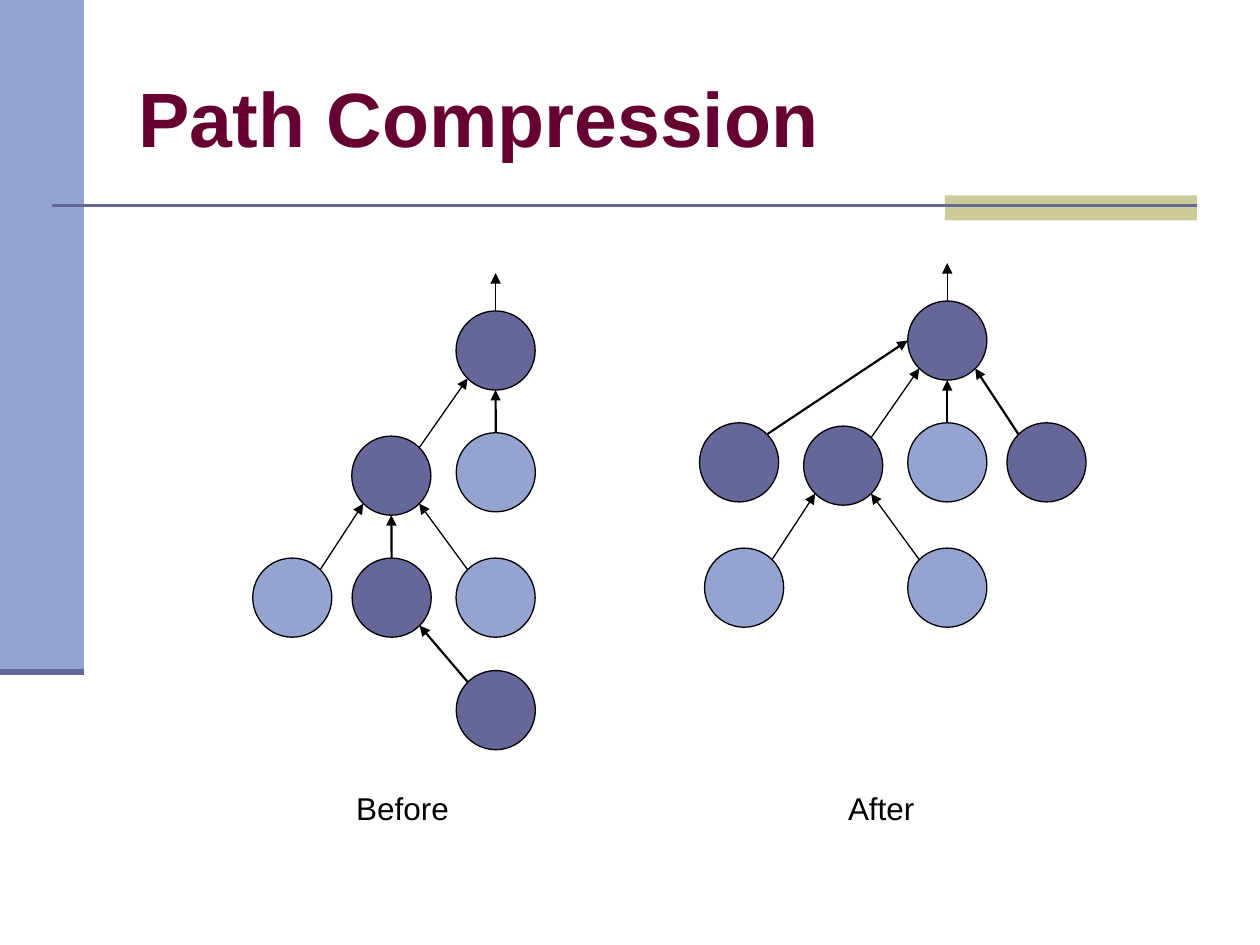
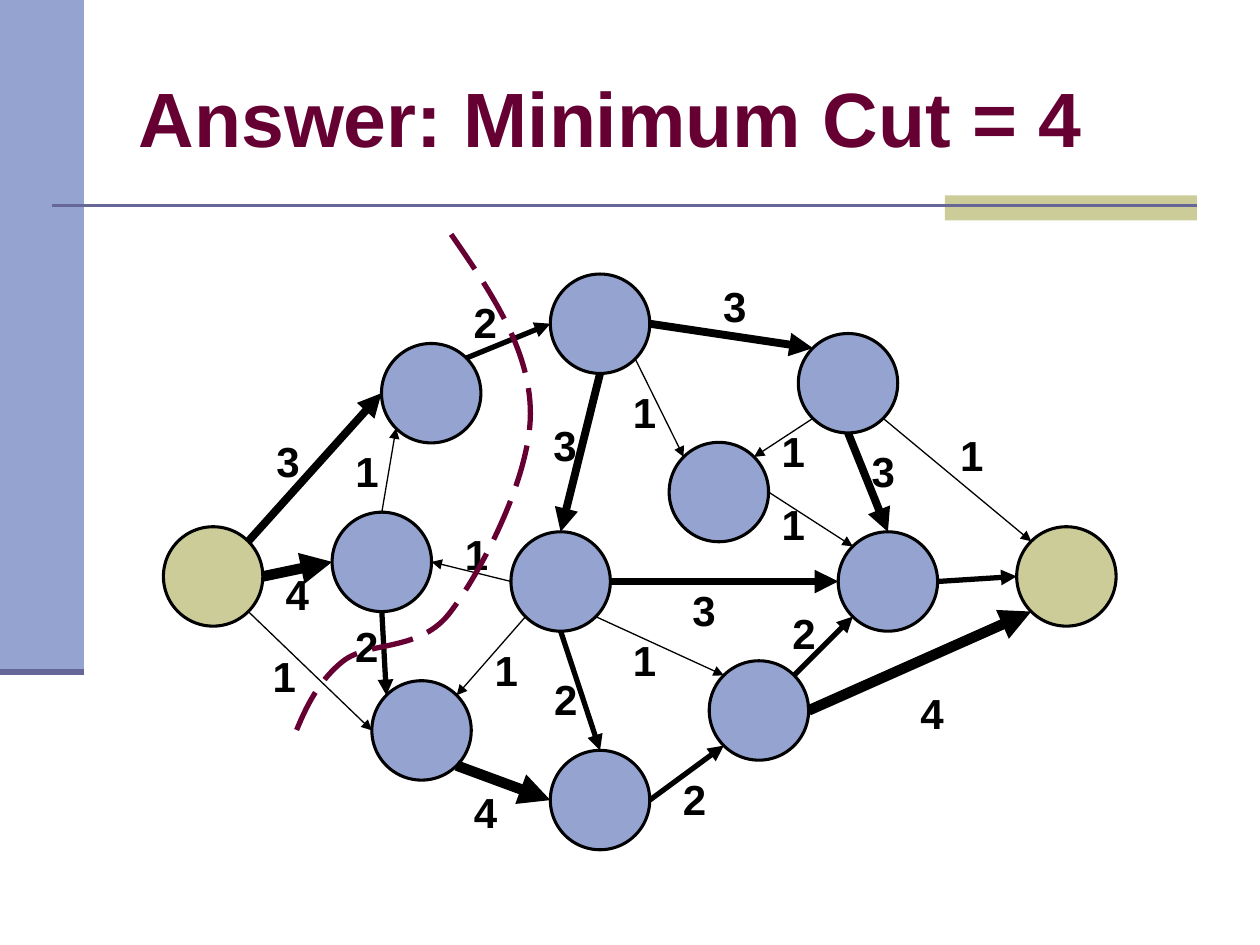
from lxml import etree
from pptx import Presentation
from pptx.dml.color import RGBColor
from pptx.enum.dml import MSO_LINE_DASH_STYLE as DASH
from pptx.enum.shapes import MSO_CONNECTOR as CONN, MSO_SHAPE as SHAPE
from pptx.enum.text import MSO_ANCHOR as ANCHOR, MSO_AUTO_SIZE as AUTO, PP_ALIGN as ALIGN
from pptx.oxml.ns import qn
from pptx.util import Pt

FONT = "Arial"
COLORS = {"light": "95A3D1", "dark": "666699", "sand": "CCCC99",
          "wine": "660033", "black": "000000"}

# Path compression: nodes are (centre x, centre y, colour),
# edges are (child, side, parent, side, line width).
TREE_RADIUS = 22.6
ROOT_ARROW = 21.6
THIN, THICK = 0.75, 1.25
TREES = [
    {"caption": "Before", "caption_at": (230, 462), "caption_width": 69,
     "nodes": {"root": (283.2, 200.3, "dark"), "parent": (223.6, 271.8, "dark"),
               "uncle": (283.3, 269.9, "light"), "left": (167, 341.5, "light"),
               "middle": (223.8, 341.5, "dark"), "right": (283.2, 341.5, "light"),
               "deep": (283.3, 405.8, "dark")},
     "edges": [("left", "NE", "parent", "SW", THIN), ("parent", "NE", "root", "SW", THIN),
               ("right", "NW", "parent", "SE", THIN), ("uncle", "N", "root", "S", THICK),
               ("middle", "N", "parent", "S", THICK), ("deep", "NW", "middle", "SE", THICK)]},
    {"caption": "After", "caption_at": (503.6, 462), "caption_width": 54,
     "nodes": {"root": (541.3, 194.6, "dark"), "parent": (481.8, 266.1, "dark"),
               "uncle": (541.3, 264.2, "light"), "left": (425.2, 335.8, "light"),
               "middle": (422.3, 264.2, "dark"), "right": (541.3, 335.8, "light"),
               "deep": (598, 264.2, "dark")},
     "edges": [("left", "NE", "parent", "SW", THIN), ("parent", "NE", "root", "SW", THIN),
               ("right", "NW", "parent", "SE", THIN), ("uncle", "N", "root", "S", THICK),
               ("middle", "NE", "root", "W", THICK), ("deep", "NW", "root", "SE", THICK)]},
]

# Flow network: edges are (from, side, to, side, capacity, label centre).
FLOW_RADIUS = 28.4
FLOW_NODES = {
    "s": (121.8, 329.4, "sand"), "t": (609.4, 329.4, "sand"),
    "a": (246.4, 224.7, "light"), "b": (218.2, 321.1, "light"),
    "c": (240.9, 417.4, "light"), "d": (342.9, 457.2, "light"),
    "e": (320.4, 332.3, "light"), "f": (410.8, 281.2, "light"),
    "g": (342.9, 185, "light"), "h": (484.6, 219, "light"),
    "i": (507.4, 332.3, "light"), "j": (433.7, 406, "light"),
}
FLOW_EDGES = [
    ("s", "E", "b", "W", 4, (169.9, 339.1)),
    ("b", "N", "a", "SW", 1, (209.7, 269.3)),
    ("a", "NE", "g", "W", 2, (277.3, 184)),
    ("g", "S", "e", "N", 3, (322.8, 254.2)),
    ("g", "SE", "f", "NW", 1, (368.3, 235.1)),
    ("g", "E", "h", "NW", 3, (419.8, 175)),
    ("h", "SW", "f", "NE", 1, (453.2, 257.8)),
    ("h", "S", "i", "N", 3, (504.7, 269.3)),
    ("e", "E", "i", "W", 3, (402.3, 348.5)),
    ("f", "E", "i", "NW", 1, (453.2, 299.5)),
    ("e", "W", "b", "E", 1, (272.2, 316.4)),
    ("b", "S", "c", "NW", 2, (209.5, 369)),
    ("e", "S", "d", "N", 2, (323.3, 399.6)),
    ("e", "SW", "c", "NE", 1, (289.2, 382.7)),
    ("c", "SE", "d", "W", 4, (277.4, 463.7)),
    ("d", "E", "j", "SW", 2, (396.9, 456.5)),
    ("e", "SE", "j", "NW", 1, (368.3, 377)),
    ("j", "NE", "i", "SW", 2, (459.4, 361.4)),
    ("s", "NE", "a", "W", 3, (164.6, 263.5)),
    ("s", "SE", "c", "W", 1, (162.4, 385.9)),
    ("i", "E", "t", "W", 2, None),
    ("h", "SE", "t", "NW", 1, (555.3, 259.9)),
    ("j", "E", "t", "SW", 4, (532.6, 407.1)),
]
FLOW_WIDTHS = {1: 0.75, 2: 3, 3: 4.5, 4: 6}
# Start point, then two control points and an end point for each curve.
CUT = [(257.8, 133.9),
       (280.8, 167), (303.1, 200.2), (303.1, 236.2),
       (303.1, 272.2), (275.8, 325.4), (257.8, 349.2),
       (240.5, 373), (211, 365.8), (195.8, 378),
       (180.7, 390.2), (173.5, 406.8), (167, 423.4)]


def rgb(name):
    return RGBColor.from_string(COLORS[name])


def add_solid(slide, kind, x, y, w, h, fill, outline=None):
    sp = slide.shapes.add_shape(kind, Pt(x), Pt(y), Pt(w), Pt(h))
    sp.shadow.inherit = False
    sp.fill.solid()
    sp.fill.fore_color.rgb = rgb(fill)
    if outline:
        sp.line.color.rgb = rgb("black")
        sp.line.width = Pt(outline)
    else:
        sp.line.fill.background()
    return sp


def add_line(slide, start, end, width, color="black", arrow=True):
    ends = [Pt(v) for v in (*start, *end)]
    line = slide.shapes.add_connector(CONN.STRAIGHT, *ends)
    line.line.color.rgb = rgb(color)
    line.line.width = Pt(width)
    props = line.element.spPr
    if arrow:
        etree.SubElement(props.find(qn("a:ln")), qn("a:tailEnd"), type="triangle")
    etree.SubElement(props, qn("a:effectLst"))
    return line


def add_run(p, text, size, color="black", bold=False):
    r = p.add_run()
    r.text = text
    r.font.name, r.font.size, r.font.bold = FONT, Pt(size), bold
    r.font.color.rgb = rgb(color)


def add_label(slide, text, center, w, h, size, bold=False):
    x, y = center
    box = slide.shapes.add_textbox(Pt(x - w / 2), Pt(y - h / 2), Pt(w), Pt(h))
    tf = box.text_frame
    tf.word_wrap = False
    tf.auto_size = AUTO.SHAPE_TO_FIT_TEXT
    p = tf.paragraphs[0]
    p.alignment = ALIGN.CENTER
    add_run(p, text, size, bold=bold)


def add_nodes(slide, nodes, radius, outline):
    for x, y, fill in nodes.values():
        add_solid(slide, SHAPE.OVAL, x - radius, y - radius,
                  2 * radius, 2 * radius, fill, outline)


def rim_point(node, side, radius):
    """Point on a node's circle in a compass direction such as N or SW."""
    dx = ("E" in side) - ("W" in side)
    dy = ("S" in side) - ("N" in side)
    reach = radius / (dx * dx + dy * dy) ** 0.5
    return node[0] + dx * reach, node[1] + dy * reach


def add_edge(slide, nodes, radius, tail, tail_side, head, head_side, width):
    add_line(slide, rim_point(nodes[tail], tail_side, radius),
             rim_point(nodes[head], head_side, radius), width)


def add_cut(slide):
    points = [(Pt(x), Pt(y)) for x, y in CUT]
    builder = slide.shapes.build_freeform(*points[0], scale=1.0)
    builder.add_line_segments(points[1:], close=False)
    sp = builder.convert_to_shape()
    segments = list(sp.element.iter(qn("a:lnTo")))
    for k in range(0, len(segments), 3):  # three points make one Bézier curve
        curve = etree.SubElement(segments[k].getparent(), qn("a:cubicBezTo"))
        for segment in segments[k:k + 3]:
            curve.append(segment[0])
            segment.getparent().remove(segment)
    sp.shadow.inherit = False
    sp.fill.background()
    sp.line.color.rgb = rgb("wine")
    sp.line.width = Pt(3)
    sp.line.dash_style = DASH.LONG_DASH


def decorate_layout(layout, slide):
    """Draw the bands and rules, then move them behind everything in the layout."""
    parts = [
        add_solid(slide, SHAPE.RECTANGLE, 0, 0, 48, 384, "light"),
        add_solid(slide, SHAPE.RECTANGLE, 540, 111.6, 144, 14.4, "sand"),
        add_line(slide, (30, 117.4), (684, 117.4), 1.5, "dark", arrow=False),
        add_line(slide, (0, 384), (48, 384), 3.5, "dark", arrow=False),
    ]
    for position, part in enumerate(parts, start=2):
        layout.shapes.element.insert(position, part.element)


def add_titled_slide(prs, layout, text):
    slide = prs.slides.add_slide(layout)
    title = slide.shapes.title
    title.left, title.top, title.width, title.height = Pt(72), Pt(21.6), Pt(612), Pt(90)
    tf = title.text_frame
    tf.word_wrap = True
    tf.auto_size = AUTO.NONE
    tf.vertical_anchor = ANCHOR.MIDDLE
    p = tf.paragraphs[0]
    p.alignment = ALIGN.LEFT
    add_run(p, text, 44, "wine", bold=True)
    return slide


def main():
    prs = Presentation()
    prs.slide_width, prs.slide_height = Pt(720), Pt(540)
    layout = prs.slide_layouts.get_by_name("Title Only")

    slide = add_titled_slide(prs, layout, "Path Compression")
    decorate_layout(layout, slide)
    for tree in TREES:
        nodes = tree["nodes"]
        add_nodes(slide, nodes, TREE_RADIUS, 0.75)
        for edge in tree["edges"]:
            add_edge(slide, nodes, TREE_RADIUS, *edge)
        x, y = rim_point(nodes["root"], "N", TREE_RADIUS)
        add_line(slide, (x, y), (x, y - ROOT_ARROW), THIN)
        add_label(slide, tree["caption"], tree["caption_at"], tree["caption_width"], 29, 18)

    slide = add_titled_slide(prs, layout, "Answer: Minimum Cut = 4")
    add_nodes(slide, FLOW_NODES, FLOW_RADIUS, 1.75)
    for *ends, capacity, _ in FLOW_EDGES:
        add_edge(slide, FLOW_NODES, FLOW_RADIUS, *ends, FLOW_WIDTHS[capacity])
    for *_, capacity, center in FLOW_EDGES:
        if center:
            add_label(slide, str(capacity), center, 27.4, 36, 24, bold=True)
    add_cut(slide)

    prs.save("out.pptx")


if __name__ == "__main__":
    main()
